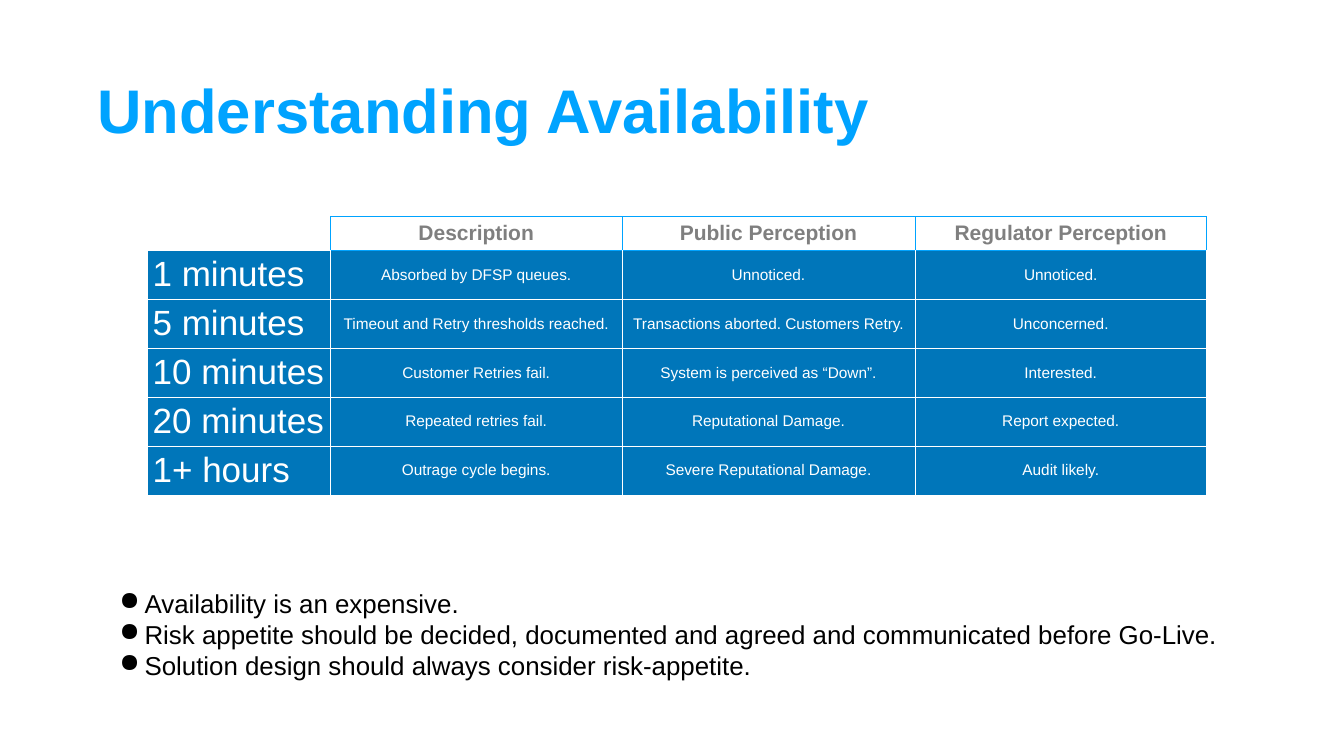
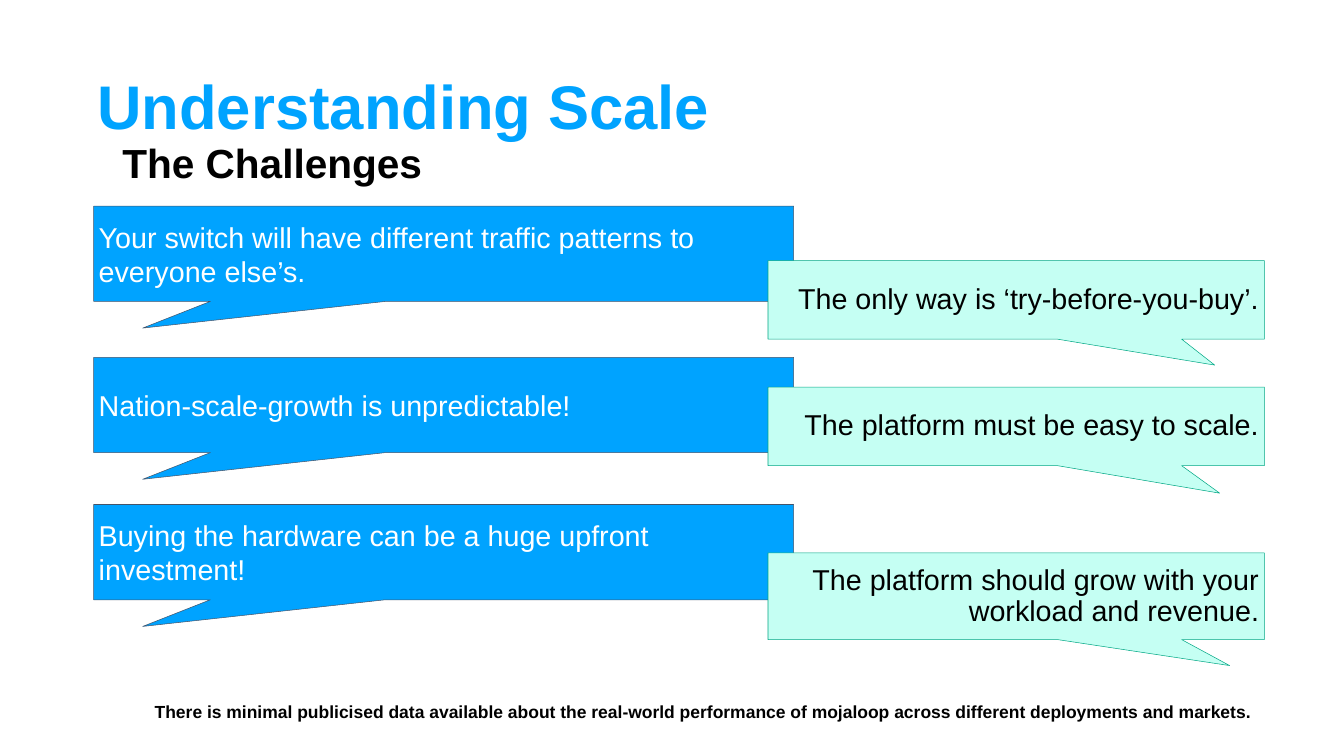
import lxml.etree
import pptx
import pptx.dml.color
import pptx.enum.shapes
import pptx.enum.text
import pptx.oxml.ns
import pptx.util

Inches = pptx.util.Inches
Pt = pptx.util.Pt
ALIGN = pptx.enum.text.PP_ALIGN
ANCHOR = pptx.enum.text.MSO_ANCHOR
qn = pptx.oxml.ns.qn

FONT = "Arial"
COLORS = {
    "accent": "00A3FF",
    "table": "0076BA",
    "heading": "7F7F7F",
    "challenge_line": "44546A",
    "answer": "C5FFF3",
    "answer_line": "00A784",
    "white": "FFFFFF",
    "black": "000000",
}

HEADINGS = ["Description", "Public Perception", "Regulator Perception"]
OUTAGES = [
    ("1 minutes", "Absorbed by DFSP queues.", "Unnoticed.", "Unnoticed."),
    ("5 minutes", "Timeout and Retry thresholds reached.",
     "Transactions aborted. Customers Retry.", "Unconcerned."),
    ("10 minutes", "Customer Retries fail.", "System is perceived as “Down”.", "Interested."),
    ("20 minutes", "Repeated retries fail.", "Reputational Damage.", "Report expected."),
    ("1+ hours", "Outrage cycle begins.", "Severe Reputational Damage.", "Audit likely."),
]
TAKEAWAYS = [
    "Availability is an expensive.",
    "Risk appetite should be decided, documented and agreed and communicated before Go-Live.",
    "Solution design should always consider risk-appetite.",
]
# Text, top
CHALLENGES = [
    ("Your switch will have different traffic patterns to everyone else’s.", 4.09),
    ("Nation-scale-growth is unpredictable!", 7.09),
    ("Buying the hardware can be a huge upfront investment!", 10.01),
]
# Text, top, height, tail position
ANSWERS = [
    ("The only way is ‘try-before-you-buy’.", 5.17, 1.56, (0.4, 0.83)),
    ("The platform must be easy to scale.", 7.68, 1.56, (0.41, 0.85)),
    ("The platform should grow with your workload and revenue.", 10.97, 1.72, (0.43, 0.8)),
]


def rgb(name):
    return pptx.dml.color.RGBColor.from_string(COLORS[name])


def write(paragraph, text, size, color, bold=False, align=ALIGN.LEFT, line_spacing=None):
    paragraph.text = text
    paragraph.alignment = align
    if line_spacing:
        paragraph.line_spacing = line_spacing
    font = paragraph.font
    font.name = FONT
    font.size = Pt(size)
    font.bold = bold
    font.color.rgb = rgb(color)


def set_margins(holder, horizontal=0.1, vertical=0.1):
    """Set the inner margins of a text frame or a table cell."""
    holder.margin_left = holder.margin_right = Inches(horizontal)
    holder.margin_top = holder.margin_bottom = Inches(vertical)


def add_titled_slide(deck, title, top):
    slide = deck.slides.add_slide(deck.slide_layouts[5])
    placeholder = slide.shapes.title
    placeholder.left, placeholder.top = Inches(1.83), Inches(top)
    placeholder.width, placeholder.height = Inches(20.68), Inches(2.9)
    frame = placeholder.text_frame
    frame.word_wrap = True
    frame.auto_size = pptx.enum.text.MSO_AUTO_SIZE.NONE
    frame.vertical_anchor = ANCHOR.MIDDLE
    set_margins(frame, vertical=0.05)
    write(frame.paragraphs[0], title, 88, "accent", bold=True, line_spacing=0.9)
    return slide


def add_text_frame(slide, box, vertical_margin=0.1):
    frame = slide.shapes.add_textbox(*map(Inches, box)).text_frame
    frame.word_wrap = True
    set_margins(frame, vertical=vertical_margin)
    return frame


def set_borders(cell, **changed):
    """Draw white cell borders, except for the sides (L, R, T, B) given a colour."""
    properties = cell._tc.get_or_add_tcPr()
    for position, side in enumerate("LRTB"):
        line = lxml.etree.Element(qn(f"a:ln{side}"), w=str(Pt(0.75)))
        fill = lxml.etree.SubElement(line, qn("a:solidFill"))
        lxml.etree.SubElement(fill, qn("a:srgbClr"), val=COLORS[changed.get(side, "white")])
        properties.insert(position, line)


def add_outage_table(slide, left, top):
    widths = [3.63, 5.78, 5.82, 5.78]
    heights = [0.67] + [0.97] * len(OUTAGES)
    table = slide.shapes.add_table(
        len(heights), len(widths), Inches(left), Inches(top),
        Inches(sum(widths)), Inches(sum(heights))).table
    table.first_row = table.horz_banding = False
    for column, width in zip(table.columns, widths):
        column.width = Inches(width)
    for row, height in zip(table.rows, heights):
        row.height = Inches(height)

    for r, texts in enumerate([("", *HEADINGS), *OUTAGES]):
        for c, text in enumerate(texts):
            cell = table.cell(r, c)
            set_margins(cell, vertical=0.09)
            paragraph = cell.text_frame.paragraphs[0]
            if c:
                cell.vertical_anchor = ANCHOR.MIDDLE
            if r == 0:
                cell.fill.background()
                if c:
                    write(paragraph, text, 30, "heading", bold=True, align=ALIGN.CENTER)
                set_borders(cell, **dict.fromkeys("LRTB" if c else "R", "accent"))
                continue
            cell.fill.solid()
            cell.fill.fore_color.rgb = rgb("table")
            if c:
                write(paragraph, text, 22, "white", align=ALIGN.CENTER)
            else:
                write(paragraph, text, 50, "white")
            set_borders(cell, **({"T": "accent"} if r == 1 and c else {}))


def add_takeaways(slide, box):
    frame = add_text_frame(slide, box)
    for i, text in enumerate(TAKEAWAYS):
        paragraph = frame.add_paragraph() if i else frame.paragraphs[0]
        properties = paragraph._p.get_or_add_pPr()
        properties.set("marL", str(Inches(0.5)))
        properties.set("indent", str(Inches(-0.5)))
        bullet_color = lxml.etree.SubElement(properties, qn("a:buClr"))
        lxml.etree.SubElement(bullet_color, qn("a:srgbClr"), val=COLORS["black"])
        lxml.etree.SubElement(properties, qn("a:buChar"), char="●")
        write(paragraph, text, 37, "black")


def add_callout(slide, box, text, tail, fill, line, color, **text_style):
    callout = slide.shapes.add_shape(
        pptx.enum.shapes.MSO_SHAPE.ROUNDED_RECTANGULAR_CALLOUT, *map(Inches, box))
    for i, value in enumerate((*tail, 0)):
        callout.adjustments[i] = value
    callout.shadow.inherit = False
    callout.fill.solid()
    callout.fill.fore_color.rgb = rgb(fill)
    callout.line.color.rgb = rgb(line)
    callout.line.width = Pt(0.75)
    frame = callout.text_frame
    frame.word_wrap = True
    frame.vertical_anchor = ANCHOR.MIDDLE
    set_margins(frame)
    write(frame.paragraphs[0], text, 41, color, **text_style)


def add_dialogue(slide, challenge_left, answer_left):
    """Alternate each challenge on the left with its answer on the right."""
    for (challenge, challenge_top), (answer, answer_top, height, tail) in zip(CHALLENGES, ANSWERS):
        add_callout(slide, (challenge_left, challenge_top, 13.89, 1.89), challenge,
                    (-0.43, 0.78), "accent", "challenge_line", "white")
        add_callout(slide, (answer_left, answer_top, 9.85, height), answer,
                    tail, "answer", "answer_line", "black",
                    align=ALIGN.RIGHT, line_spacing=0.9)


def build_availability(deck):
    slide = add_titled_slide(deck, "Understanding Availability", 0.8)
    add_outage_table(slide, 2.93, 4.3)
    add_takeaways(slide, (2.27, 11.55, 22.14, 2.07))


def build_scale(deck):
    slide = add_titled_slide(deck, "Understanding Scale", 0.72)
    subtitle = add_text_frame(slide, (1.83, 2.8, 23, 1.08), vertical_margin=0.05)
    subtitle.paragraphs[0]._p.get_or_add_pPr().set("marL", str(Inches(0.5)))
    write(subtitle.paragraphs[0], "The Challenges", 58, "black", bold=True, line_spacing=0.9)
    add_dialogue(slide, 1.86, 15.24)
    caveat = add_text_frame(slide, (2.97, 13.8, 22.12, 0.62))
    write(caveat.paragraphs[0],
          "There is minimal publicised data available about the real-world performance of "
          "mojaloop across different deployments and markets.", 25, "black", bold=True)


def main():
    deck = pptx.Presentation()
    deck.slide_width, deck.slide_height = Inches(26.67), Inches(15)
    build_availability(deck)
    build_scale(deck)
    deck.save("out.pptx")


if __name__ == "__main__":
    main()
